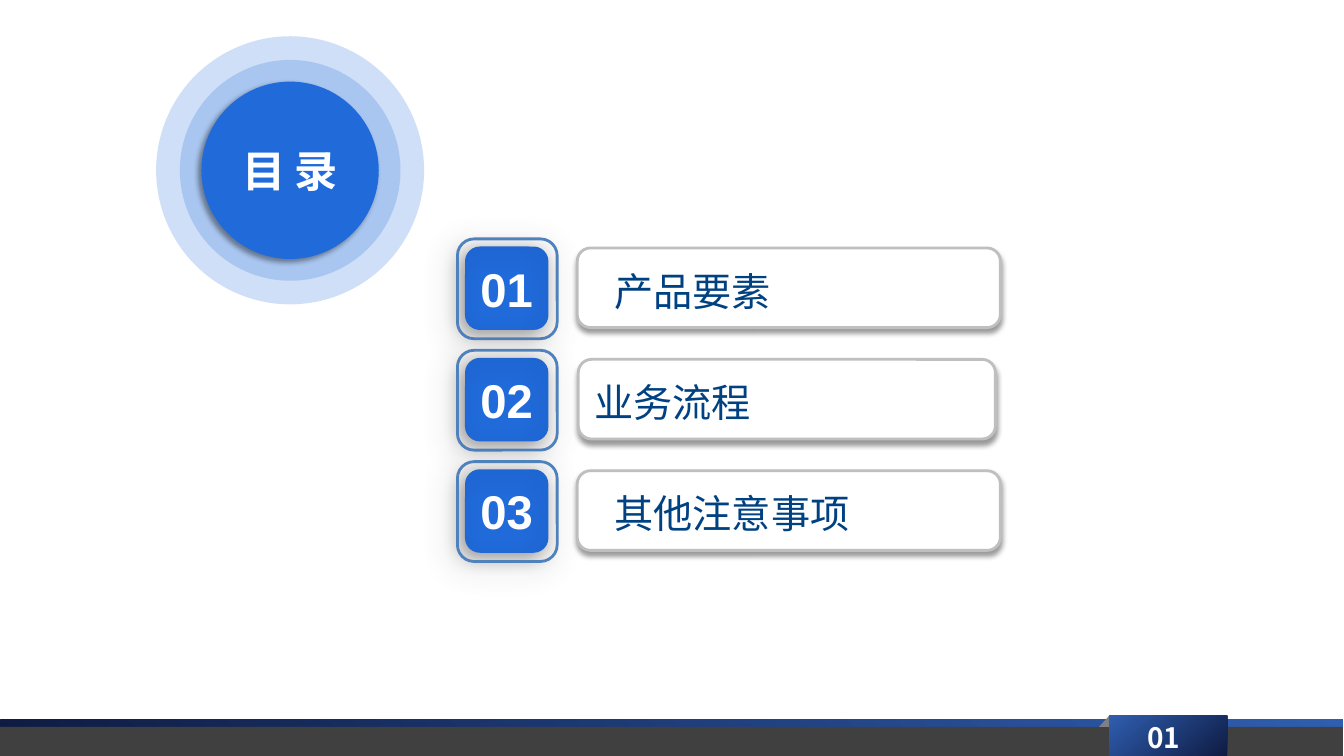
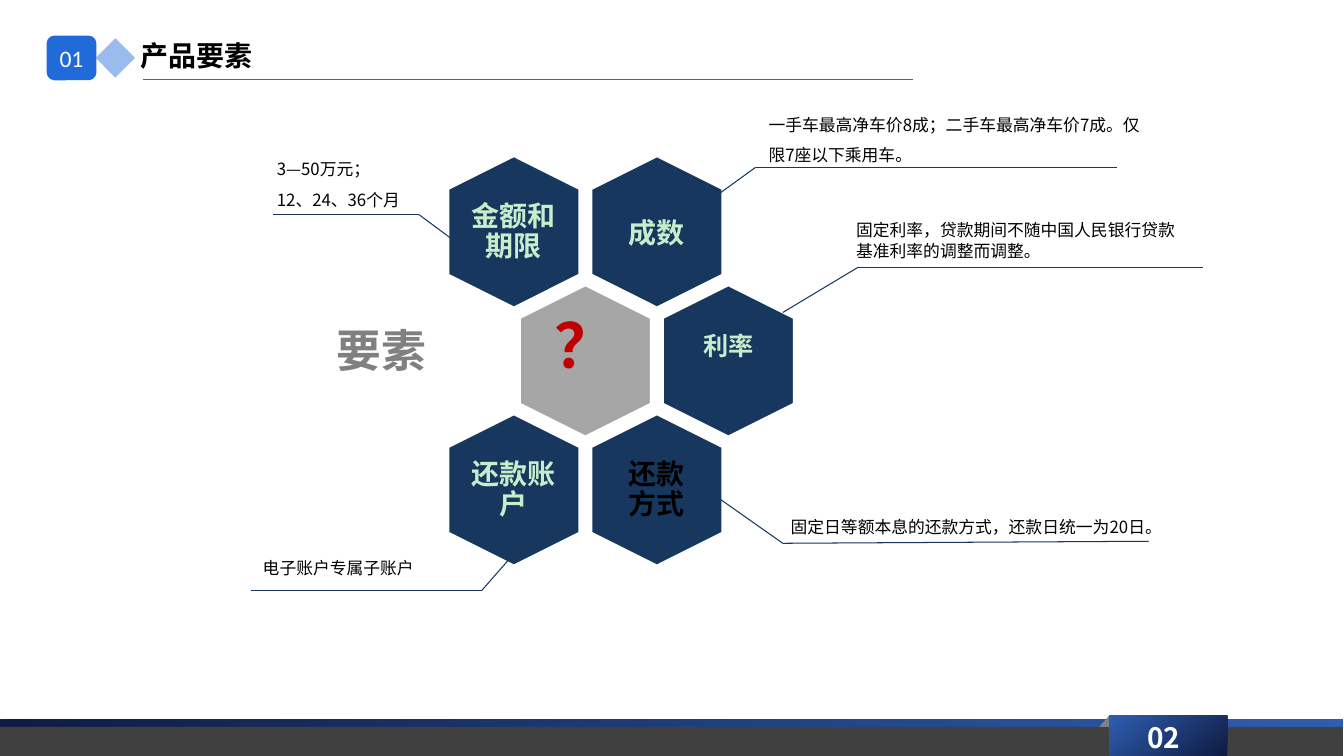
import itertools
from dataclasses import dataclass

import lxml.etree
import pptx
import pptx.dml.color
import pptx.enum.shapes
import pptx.enum.text
import pptx.oxml.ns
import pptx.util

Inches = pptx.util.Inches
Pt = pptx.util.Pt
SHAPE = pptx.enum.shapes.MSO_SHAPE
ALIGN = pptx.enum.text.PP_ALIGN
ANCHOR = pptx.enum.text.MSO_ANCHOR
qn = pptx.oxml.ns.qn


@dataclass(frozen=True)
class Theme:
    white: str = "FFFFFF"
    black: str = "000000"
    blue: str = "206ADA"
    ring: str = "4F81BD"
    navy: str = "17375E"
    heading: str = "004182"
    mint: str = "C7EDCC"
    red: str = "C00000"
    silver: str = "BFBFBF"
    center: str = "A6A6A6"
    gray: str = "808080"
    charcoal: str = "404040"
    band_dark: str = "0E1A40"
    band_light: str = "2F5EB0"
    font: str = "Noto Sans CJK SC"
    digits: str = "Arial"
    badge_font: str = "Calibri"
    note: float = 12
    badge: float = 16.9
    rate: float = 18
    title: float = 20
    agenda: float = 28
    contents: float = 30.9
    topic: float = 32
    number: float = 33.8
    question: float = 44


THEME = Theme()


def rgb(color):
    return pptx.dml.color.RGBColor.from_string(color)


def write(frame, text, *, size, color, font=THEME.font, bold=False, align=ALIGN.LEFT,
          anchor=ANCHOR.TOP, inset=(0.1, 0.05), left=None, leading=None):
    frame.word_wrap = True
    frame.vertical_anchor = anchor
    side, edge = inset
    frame.margin_left = Inches(side if left is None else left)
    frame.margin_right = Inches(side)
    frame.margin_top = frame.margin_bottom = Inches(edge)
    for index, line in enumerate(text.split("\n")):
        paragraph = frame.paragraphs[0] if index == 0 else frame.add_paragraph()
        paragraph.alignment = align
        if leading:
            paragraph.line_spacing = Pt(round(size * leading, 1))
        run = paragraph.add_run()
        run.text = line
        run.font.size = Pt(size)
        run.font.bold = bold
        run.font.name = font
        run.font.color.rgb = rgb(color)
        lxml.etree.SubElement(run.font._element, qn("a:ea"), typeface=THEME.font)


class Deck:
    def __init__(self, theme):
        self.theme = theme
        self.presentation = pptx.Presentation()
        self.presentation.slide_width = Inches(13.34)
        self.presentation.slide_height = Inches(7.5)
        self.slide = None

    def new_slide(self, number):
        layout = self.presentation.slide_layouts[6]
        self.slide = self.presentation.slides.add_slide(layout)
        self.footer(number)

    def shape(self, kind, box, fill=None, line=None, width=2, alpha=None, shadow=None):
        shape = self.slide.shapes.add_shape(kind, *map(Inches, box))
        self.paint(shape, fill, line, width)
        properties = shape.element.spPr
        if alpha:
            color = properties.find(qn("a:solidFill")).find(qn("a:srgbClr"))
            lxml.etree.SubElement(color, qn("a:alpha"), val=str(alpha * 1000))
        if shadow:
            blur, distance, angle = shadow
            outer = lxml.etree.SubElement(
                properties.find(qn("a:effectLst")), qn("a:outerShdw"),
                blurRad=str(Pt(blur)), dist=str(Pt(distance)),
                dir=str(angle * 60000), algn="ctr", rotWithShape="0")
            color = lxml.etree.SubElement(outer, qn("a:srgbClr"), val=self.theme.black)
            lxml.etree.SubElement(color, qn("a:alpha"), val="40000")
        return shape

    def paint(self, shape, fill, line=None, width=2):
        shape.shadow.inherit = False
        if fill:
            shape.fill.solid()
            shape.fill.fore_color.rgb = rgb(fill)
        else:
            shape.fill.background()
        if line:
            shape.line.color.rgb = rgb(line)
            shape.line.width = Pt(width)
        else:
            shape.line.fill.background()

    def gradient_bar(self, box, angle):
        bar = self.shape(SHAPE.RECTANGLE, box)
        bar.fill.gradient()
        bar.fill.gradient_angle = angle
        ends = (self.theme.band_dark, self.theme.band_light)
        for stop, color in zip(bar.fill.gradient_stops, ends):
            stop.color.rgb = rgb(color)

    def text(self, box, text, **style):
        frame = self.slide.shapes.add_textbox(*map(Inches, box)).text_frame
        write(frame, text, **style)

    def polyline(self, points, color, width=0.75):
        for start, end in itertools.pairwise(points):
            line = self.slide.shapes.add_connector(
                pptx.enum.shapes.MSO_CONNECTOR.STRAIGHT, *map(Inches, start + end))
            line.line.color.rgb = rgb(color)
            line.line.width = Pt(width)
            lxml.etree.SubElement(line.element.spPr, qn("a:effectLst"))

    def footer(self, number):
        theme = self.theme
        self.gradient_bar((0, 7.14, 13.33, 0.39), 50)
        self.shape(SHAPE.RECTANGLE, (0, 7.21, 13.33, 0.32), theme.charcoal)
        fold = self.slide.shapes.build_freeform(Inches(11.01), Inches(7.1))
        corners = ((12.01, 7.1), (12.02, 7.22), (10.91, 7.21))
        fold.add_line_segments([(Inches(x), Inches(y)) for x, y in corners])
        self.paint(fold.convert_to_shape(), theme.gray)
        self.gradient_bar((11.01, 7.1, 1.17, 0.43), 130)
        self.text((10.92, 7.1, 1.26, 0.43), number, size=theme.title, color=theme.white,
                  bold=True, align=ALIGN.CENTER, anchor=ANCHOR.MIDDLE)

    def header(self, number, title):
        theme = self.theme
        self.text((1.34, 0.35, 6.73, 0.39), title, size=theme.title, color=theme.black,
                  bold=True, inset=(0.05, 0.03), leading=1.2)
        self.polyline([(1.42, 0.79), (9.06, 0.79)], theme.blue, 0.5)
        badge = self.shape(SHAPE.ROUNDED_RECTANGLE, (0.47, 0.36, 0.48, 0.43),
                           theme.blue, theme.blue, 1)
        write(badge.text_frame, number, size=theme.badge, color=theme.white,
              font=theme.badge_font, align=ALIGN.CENTER, anchor=ANCHOR.MIDDLE, inset=(0, 0))
        self.shape(SHAPE.DIAMOND, (0.95, 0.38, 0.39, 0.39), theme.blue, alpha=45)

    def contents_disc(self, title):
        theme = self.theme
        center_x, center_y = 2.88, 1.69

        def disc(size, **look):
            box = (center_x - size / 2, center_y - size / 2, size, size)
            return self.shape(SHAPE.OVAL, box, theme.blue, **look)

        for halo in (2.66, 2.19):
            disc(halo, alpha=21)
        write(disc(1.76, shadow=(4, 3, 135)).text_frame, title, size=theme.contents,
              color=theme.white, bold=True, align=ALIGN.CENTER, anchor=ANCHOR.MIDDLE)

    def agenda_item(self, number, title, top, box_left, box_width, indent):
        theme = self.theme
        self.shape(SHAPE.ROUNDED_RECTANGLE, (box_left, top, box_width, 0.79),
                   theme.white, theme.silver, shadow=(4, 3, 90))
        self.text((box_left, top + 0.14, box_width, 0.57), title, size=theme.agenda,
                  color=theme.heading, left=indent, leading=1.2)
        tile = self.shape(SHAPE.ROUNDED_RECTANGLE, (4.63, top, 0.8, 0.8),
                          theme.blue, theme.blue, shadow=(14, 5, 135))
        write(tile.text_frame, number, size=theme.number, color=theme.white,
              font=theme.digits, bold=True, align=ALIGN.CENTER, anchor=ANCHOR.MIDDLE,
              inset=(0, 0.05))
        self.shape(SHAPE.ROUNDED_RECTANGLE, (4.54, top - 0.09, 0.99, 0.99),
                   line=theme.ring, shadow=(21, 6, 135))

    def hexagon(self, column, row, label, fill=THEME.navy, lift=0, inset=0, **style):
        theme = self.theme
        x, y = 5.1 + 0.71 * column, 2.3 + 1.28 * row
        cell = self.shape(SHAPE.HEXAGON, (x - 0.755, y - 0.655, 1.51, 1.31),
                          fill, theme.white)
        cell.adjustments[0] = 0.25
        cell.adjustments[1] = 1.1547
        cell.rotation = 90
        look = dict(size=theme.title, color=theme.mint, bold=True, align=ALIGN.CENTER,
                    anchor=ANCHOR.MIDDLE, inset=(inset, inset))
        self.text((x - 0.45, y - 0.52 - lift, 0.9, 1.04), label, **(look | style))

    def callout(self, box, note, points, leading=1.8):
        self.polyline(points, self.theme.navy)
        self.text(box, note, size=self.theme.note, color=self.theme.black, leading=leading)


def build_contents(deck):
    deck.new_slide("01")
    deck.contents_disc("目 录")
    agenda = [
        ("产品要素", 5.73, 4.2, 0.37),
        ("业务流程", 5.74, 4.14, 0.16),
        ("其他注意事项", 5.73, 4.2, 0.37),
    ]
    for index, (title, left, width, indent) in enumerate(agenda):
        deck.agenda_item(f"{index + 1:02}", title, 2.46 + 1.105 * index, left, width, indent)


def build_product(deck):
    theme = deck.theme
    deck.new_slide("02")
    deck.header("01", "产品要素")
    deck.hexagon(2, 0, "成数", inset=0.08)
    deck.hexagon(0, 0, "金额和期限", leading=1.08)
    deck.hexagon(1, 1, "？", theme.center, lift=0.17, size=theme.question, color=theme.red)
    deck.hexagon(3, 1, "利率", lift=0.15, size=theme.rate)
    deck.hexagon(2, 2, "还款方式", inset=0.08, leading=1.08, color=theme.black)
    deck.hexagon(0, 2, "还款账户", leading=1.08)
    deck.text((2.73, 3.02, 1.63, 0.9), "要素", size=theme.topic, color=theme.gray, bold=True,
              align=ALIGN.RIGHT, anchor=ANCHOR.MIDDLE, inset=(0.13, 0.13))
    deck.callout((2.65, 1.43, 1.47, 0.71), "3—50万元；\n12、24、36个月",
                 [(4.47, 2.36), (4.16, 2.13), (2.71, 2.13)])
    deck.callout((7.53, 0.99, 3.98, 0.67),
                 "一手车最高净车价8成；二手车最高净车价7成。仅限7座以下乘用车。",
                 [(7.03, 2), (7.5, 1.66), (11.09, 1.66)])
    deck.callout((8.4, 2.12, 3.43, 0.51),
                 "固定利率，贷款期间不随中国人民银行贷款基准利率的调整而调整。",
                 [(7.77, 3.1), (8.52, 2.65), (11.94, 2.65)], 1.25)
    deck.callout((7.75, 4.98, 4.1, 0.37), "固定日等额本息的还款方式，还款日统一为20日。",
                 [(7.13, 4.94), (7.77, 5.39), (11.4, 5.37)])
    deck.callout((2.51, 5.48, 1.9, 0.3), "电子账户专属子账户",
                 [(5.21, 5.37), (4.78, 5.86), (2.49, 5.86)], 1.25)


def main():
    deck = Deck(THEME)
    build_contents(deck)
    build_product(deck)
    deck.presentation.save("out.pptx")


if __name__ == "__main__":
    main()
